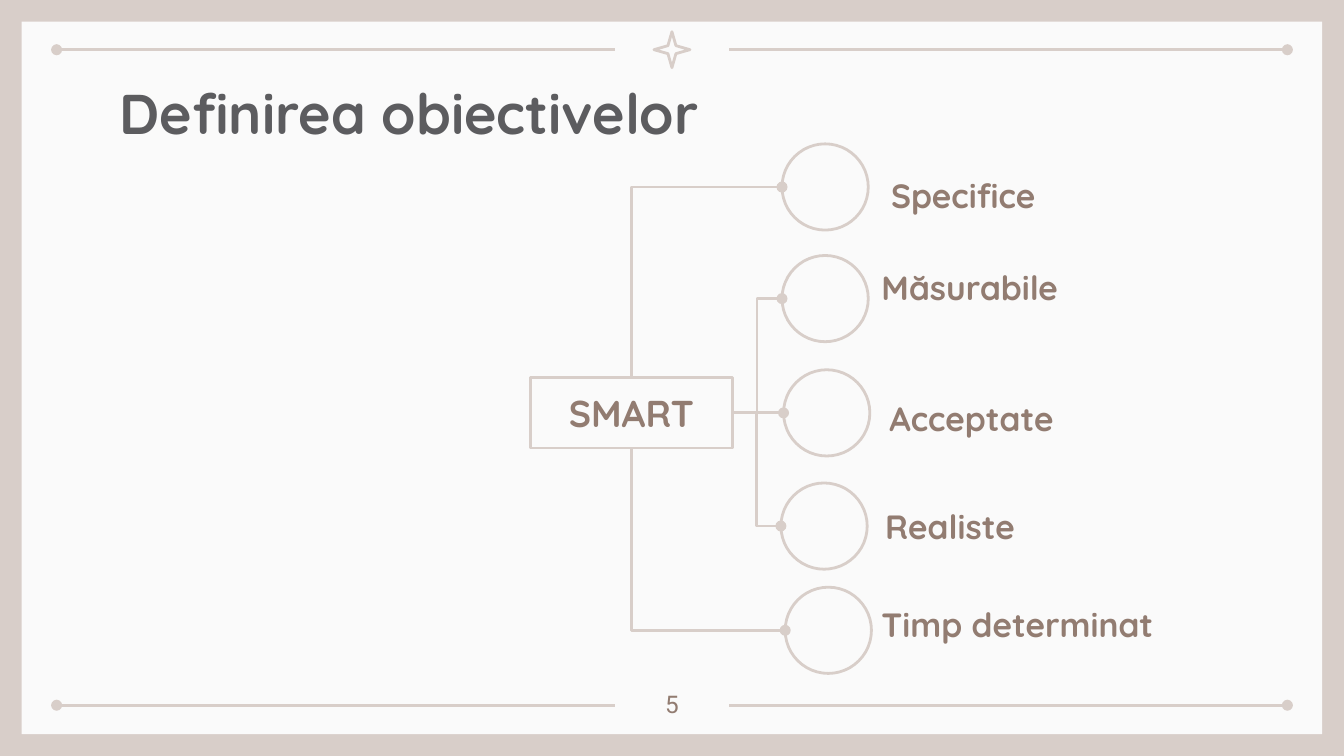
import pptx
import pptx.dml.color
import pptx.enum.shapes
import pptx.enum.text
import pptx.oxml
import pptx.oxml.ns
import pptx.util
from pptx.util import Cm

SHAPE = pptx.enum.shapes.MSO_SHAPE
CONNECTOR = pptx.enum.shapes.MSO_CONNECTOR
ALIGN = pptx.enum.text.PP_ALIGN
ANCHOR = pptx.enum.text.MSO_ANCHOR

SAND, PAPER, BROWN, GREY = "D8CEC9", "FAFAFA", "927C71", "5C5C5F"
WIDTH, HEIGHT = 25.4, 14.29


def color(value):
    return pptx.dml.color.RGBColor.from_string(value)


def write(shape, text, size=18, font="Quicksand", tint=BROWN, bold=True,
          align=ALIGN.LEFT, anchor=ANCHOR.TOP):
    frame = shape.text_frame
    frame.word_wrap = True
    frame.vertical_anchor = anchor
    for side in ("left", "top", "right", "bottom"):
        setattr(frame, f"margin_{side}", Cm(0.25))
    para = frame.paragraphs[0]
    para.alignment = align
    span = para.add_run()
    span.text = text
    span.font.name = font
    span.font.size = pptx.util.Pt(size)
    span.font.bold = bold
    span.font.color.rgb = color(tint)


class Painter:
    """Holds the line style and the slide being drawn."""

    def __init__(self, slide, line_color=SAND, line_width=1.5):
        self.slide = slide
        self.line_color = line_color
        self.line_width = pptx.util.Pt(line_width)

    def stroke(self, line):
        line.color.rgb = color(self.line_color)
        line.width = self.line_width

    def shape(self, kind, left, top, width, height, fill=None):
        shape = self.slide.shapes.add_shape(
            kind, Cm(left), Cm(top), Cm(width), Cm(height))
        shape.shadow.inherit = False
        if fill:
            shape.fill.solid()
            shape.fill.fore_color.rgb = color(fill)
            shape.line.fill.background()
        else:
            shape.fill.background()
            self.stroke(shape.line)
        return shape

    def text(self, left, top, width, height, text, **style):
        box = self.slide.shapes.add_textbox(
            Cm(left), Cm(top), Cm(width), Cm(height))
        write(box, text, **style)

    def connector(self, start, end, kind=CONNECTOR.STRAIGHT, preset=None):
        """Line with a dot at its start."""
        line = self.slide.shapes.add_connector(
            kind, *(Cm(length) for length in (*start, *end)))
        self.stroke(line.line)
        qn = pptx.oxml.ns.qn
        properties = line._element.spPr
        if preset:
            properties.find(qn("a:prstGeom")).set("prst", preset)
        dot = pptx.oxml.parse_xml(
            f'<a:headEnd {pptx.oxml.ns.nsdecls("a")} type="oval"/>')
        properties.find(qn("a:ln")).append(dot)
        properties.append(pptx.oxml.parse_xml(
            f'<a:effectLst {pptx.oxml.ns.nsdecls("a")}/>'))


def main():
    deck = pptx.Presentation()
    deck.slide_width, deck.slide_height = Cm(WIDTH), Cm(HEIGHT)
    slide = deck.slides.add_slide(deck.slide_layouts[6])
    painter = Painter(slide)

    # Frame with dotted rules and a star
    slide.background.fill.solid()
    slide.background.fill.fore_color.rgb = color(SAND)
    margin = 0.41
    painter.shape(SHAPE.RECTANGLE, margin, margin,
                  WIDTH - 2 * margin, HEIGHT - 2 * margin, fill=PAPER)
    for y in (0.94, 13.33):
        painter.connector((1.07, y), (11.63, y))
        painter.connector((WIDTH - 1.07, y), (WIDTH - 11.63, y))
    star = painter.shape(SHAPE.STAR_4_POINT, 12.36, 0.6, 0.68, 0.68)
    star.adjustments[0] = 0.157

    # Title and page number
    painter.text(2.01, 1.24, 21.41, 1.6, "Definirea obiectivelor",
                 size=30, tint=GREY)
    painter.text(11.94, 12.78, 1.52, 0.91, "5", size=13, font="Roboto",
                 bold=False, align=ALIGN.CENTER)

    # Central box
    left, top, width, height = 10.03, 7.14, 3.81, 1.33
    center = left + width / 2
    middle = top + height / 2
    hub = painter.shape(SHAPE.RECTANGLE, left, top, width, height)
    write(hub, "SMART", size=20, align=ALIGN.CENTER, anchor=ANCHOR.MIDDLE)

    # Goals: circle corner, label corner, label, line end at the box, bend
    side = (left + width, middle)
    goals = [
        (14.78, 2.72, 16.59, 2.77, "Specifice", (center, top), "bentConnector2"),
        (14.78, 4.83, 16.41, 4.50, "Măsurabile", side, None),
        (14.81, 6.99, 16.56, 6.99, "Acceptate", side, None),
        (14.76, 9.13, 16.48, 9.02, "Realiste", side, None),
        (14.84, 11.10, 16.41, 10.87, "Timp determinat", (center, top + height),
         "bentConnector2"),
    ]
    diameter = 1.63
    for x, y, label_x, label_y, label, end, preset in goals:
        painter.shape(SHAPE.OVAL, x, y, diameter, diameter)
        painter.connector((x, y + diameter / 2), end, CONNECTOR.ELBOW, preset)
        painter.text(label_x, label_y, 6.7, 1.55, label, anchor=ANCHOR.BOTTOM)

    deck.save("out.pptx")


if __name__ == "__main__":
    main()
